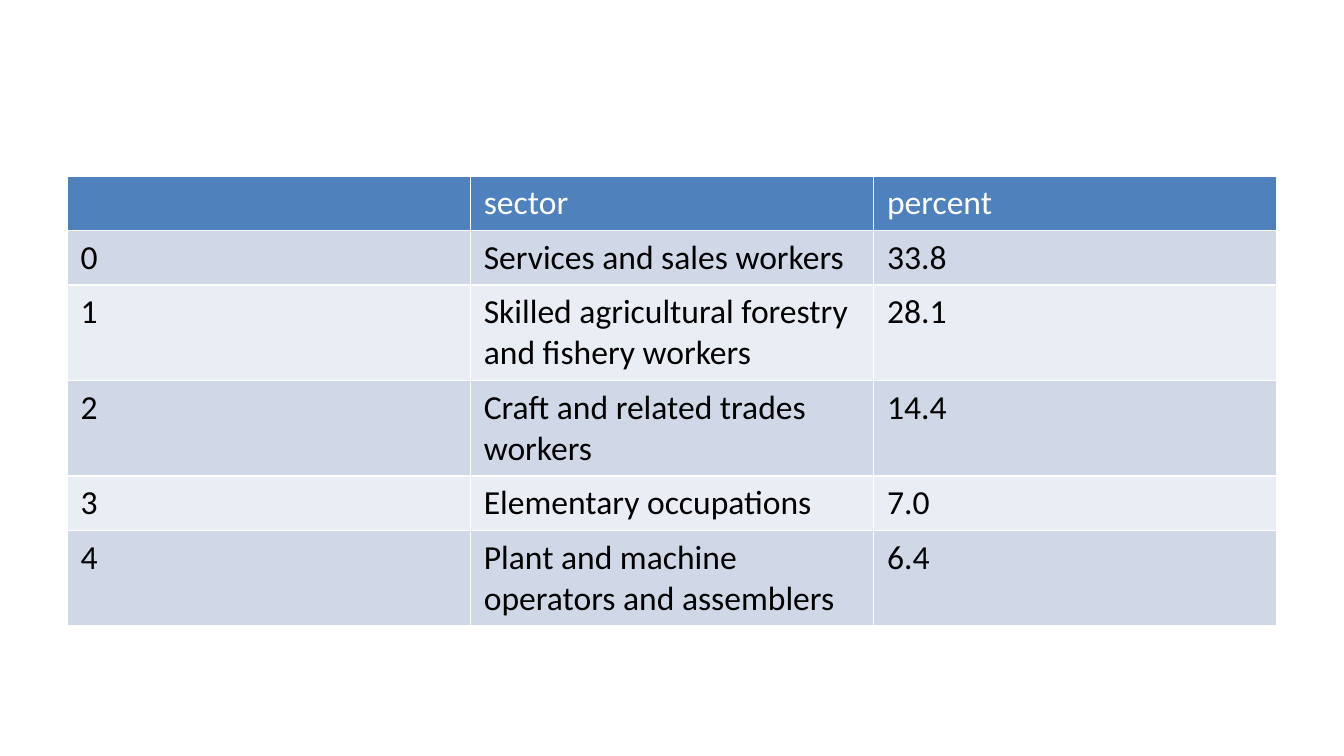
import dataclasses

import pptx
import pptx.dml.color
import pptx.util
from lxml import etree
from pptx.oxml.ns import qn
from pptx.util import Inches


@dataclasses.dataclass(frozen=True)
class Theme:
    font: str = "Calibri"
    size: int = 18
    header_fill: str = "4F81BD"
    bands: tuple = ("D0D8E8", "E9EDF4")
    header_text: str = "FFFFFF"
    body_text: str = "000000"
    border: str = "FFFFFF"
    border_width: int = 1


THEME = Theme()

SLIDE_WIDTH = 10
SLIDE_HEIGHT = SLIDE_WIDTH * 9 / 16

HEADER = ("", "sector", "percent")
SECTORS = (
    ("Services and sales workers", "33.8"),
    ("Skilled agricultural forestry and fishery workers", "28.1"),
    ("Craft and related trades workers", "14.4"),
    ("Elementary occupations", "7.0"),
    ("Plant and machine operators and assemblers", "6.4"),
)
ONE_LINE, TWO_LINES = 0.4, 0.71
ROW_HEIGHTS = (ONE_LINE, ONE_LINE, TWO_LINES, TWO_LINES, ONE_LINE, TWO_LINES)


def rgb(value):
    return pptx.dml.color.RGBColor.from_string(value)


def add_borders(cell):
    """Line all four sides; the lines must precede the fill in the cell XML."""
    tc_pr = cell._tc.get_or_add_tcPr()
    for i, side in enumerate(("a:lnL", "a:lnR", "a:lnT", "a:lnB")):
        ln = etree.Element(qn(side), w=str(pptx.util.Pt(THEME.border_width)))
        fill = etree.SubElement(ln, qn("a:solidFill"))
        etree.SubElement(fill, qn("a:srgbClr"), val=THEME.border)
        tc_pr.insert(i, ln)


def fill_cell(cell, text, fill, color):
    cell.fill.solid()
    cell.fill.fore_color.rgb = rgb(fill)
    add_borders(cell)
    p = cell.text_frame.paragraphs[0]
    p.text = text
    for r in p.runs:
        r.font.name = THEME.font
        r.font.size = pptx.util.Pt(THEME.size)
        r.font.bold = False
        r.font.color.rgb = rgb(color)


def add_sector_table(s):
    rows = [HEADER] + [(str(i), *row) for i, row in enumerate(SECTORS)]
    table = s.shapes.add_table(
        len(rows), len(HEADER),
        Inches(0.5), Inches(1.31), Inches(9), Inches(sum(ROW_HEIGHTS)),
    ).table
    for i, (row, height) in enumerate(zip(rows, ROW_HEIGHTS)):
        table.rows[i].height = Inches(height)
        if i == 0:
            fill, color = THEME.header_fill, THEME.header_text
        else:
            fill, color = THEME.bands[(i - 1) % 2], THEME.body_text
        for j, text in enumerate(row):
            fill_cell(table.cell(i, j), text, fill, color)


def main():
    prs = pptx.Presentation()
    prs.slide_width = Inches(SLIDE_WIDTH)
    prs.slide_height = Inches(SLIDE_HEIGHT)
    s = prs.slides.add_slide(prs.slide_layouts[6])
    add_sector_table(s)
    prs.save("out.pptx")


if __name__ == "__main__":
    main()
